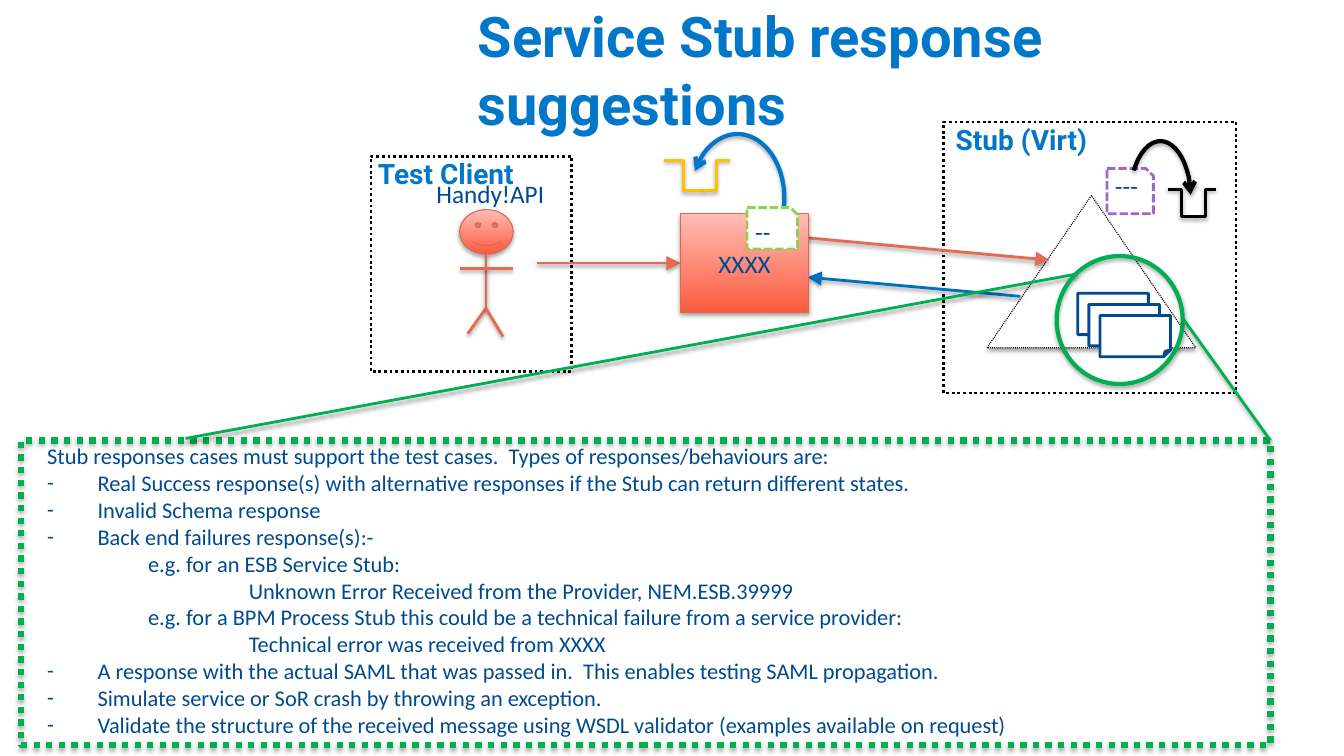
from lxml.etree import SubElement
from pptx import Presentation
from pptx.dml.color import RGBColor
from pptx.enum.dml import MSO_LINE
from pptx.enum.shapes import MSO_CONNECTOR, MSO_SHAPE
from pptx.enum.text import MSO_ANCHOR, PP_ALIGN
from pptx.oxml.ns import qn
from pptx.util import Inches, Pt

# Content: body lines are (left margin in inches, bulleted, text)
TITLE = "Service Stub response suggestions"
BODY = [
    (0, False, "Stub responses cases must support the test cases.  Types of responses/behaviours are:"),
    (0.5, True, "Real Success response(s) with alternative responses if the Stub can return different states."),
    (0.5, True, "Invalid Schema response"),
    (0.5, True, "Back end failures response(s):-"),
    (1, False, "e.g. for an ESB Service Stub:"),
    (2, False, "Unknown Error Received from the Provider, NEM.ESB.39999"),
    (1, False, "e.g. for a BPM Process Stub this could be a technical failure from a service provider:"),
    (2, False, "Technical error was received from XXXX"),
    (0.5, True, "A response with the actual SAML that was passed in.  This enables testing SAML propagation."),
    (0.5, True, "Simulate service or SoR crash by throwing an exception."),
    (0.5, True, "Validate the structure of the received message using WSDL validator (examples available on request)"),
]
COLORS = {
    "white": "FFFFFF", "black": "000000", "heading": "0077C8", "text": "004A8F",
    "coral": "E56A54", "coral edge": "E3654F", "deep coral": "FB5B3E",
    "pale coral": "FFBDB6", "blue": "0070C0", "green": "00B050",
    "lime": "92D050", "purple": "9B69CC", "amber": "FFC000",
}
ARROW_SIZES = {"triangle": "lg", "arrow": "med"}
DOTS, DASHES = MSO_LINE.ROUND_DOT, MSO_LINE.SQUARE_DOT


def color(name):
    return RGBColor.from_string(COLORS[name])


def add_shadow(item, opacity, distance):
    effects = SubElement(item._element.spPr, qn("a:effectLst"))
    outer = SubElement(effects, qn("a:outerShdw"), blurRad=str(Pt(3.1)),
                       dist=str(Pt(distance)), dir="5400000", rotWithShape="0")
    black = SubElement(outer, qn("a:srgbClr"), val=COLORS["black"])
    SubElement(black, qn("a:alpha"), val=str(opacity * 1000))


def style_line(item, line_color, width, dash=None, arrow=None):
    item.line.color.rgb = color(line_color)
    item.line.width = Pt(width)
    if dash:
        item.line.dash_style = dash
    if arrow:
        size = ARROW_SIZES[arrow]
        SubElement(item.line._get_or_add_ln(), qn("a:tailEnd"), type=arrow, w=size, len=size)


def add_box(parts, kind, box, line_color, width, fill="white", dash=None, arrow=None, shadow=False):
    shape = parts.add_shape(kind, *[Inches(length) for length in box])
    if fill == "gradient":
        shape.fill.gradient()
        shape.fill.gradient_angle = 90
        for stop, name in zip(shape.fill.gradient_stops, ("deep coral", "pale coral")):
            stop.color.rgb = color(name)
    elif fill:
        shape.fill.solid()
        shape.fill.fore_color.rgb = color(fill)
    else:
        shape.fill.background()
    style_line(shape, line_color, width, dash, arrow)
    if shadow:
        add_shadow(shape, 35, 1.8)
    else:
        shape.shadow.inherit = False
    return shape


def add_line(parts, start, end, line_color, arrow=None, kind=MSO_CONNECTOR.STRAIGHT):
    connector = parts.add_connector(kind, *[Inches(length) for length in start + end])
    style_line(connector, line_color, 2, arrow=arrow)
    add_shadow(connector, 38, 1.6)
    return connector


def add_arc(parts, box, angles, line_color, mirrored=False):
    shape = add_box(parts, MSO_SHAPE.ARC, box, line_color, 3, fill=None, arrow="arrow", shadow=True)
    for index, angle in enumerate(angles):
        shape.adjustments[index] = angle
    if mirrored:
        shape._element.spPr.xfrm.set("flipH", "1")


def add_slot(parts, left, middle, right, top, bottom, line_color):
    for side in (left, right):
        add_line(parts, (side, top), (middle, bottom), line_color, kind=MSO_CONNECTOR.ELBOW)


def add_run(paragraph, text, size, heading=False):
    run = paragraph.add_run()
    run.text = text
    run.font.size = Pt(size)
    run.font.name = "Roboto" if heading else "Calibri"
    run.font.bold = heading
    run.font.color.rgb = color("heading" if heading else "text")


def add_text(parts, box, text, size, heading=False):
    frame = parts.add_textbox(*[Inches(length) for length in box]).text_frame
    frame.word_wrap = True
    add_run(frame.paragraphs[0], text, size, heading)


presentation = Presentation()
presentation.slide_width, presentation.slide_height = Inches(13.33), Inches(7.5)
slide = presentation.slides.add_slide(presentation.slide_layouts[6])
canvas = slide.shapes

add_text(canvas, (4.64, -0.03, 8.76, 0.77), TITLE, 40, heading=True)

# Virtual stub
stub = canvas.add_group_shape().shapes
add_box(stub, MSO_SHAPE.RECTANGLE, (9.36, 1.21, 2.9, 2.69), "black", 2, dash=DOTS)
add_box(stub, MSO_SHAPE.ISOSCELES_TRIANGLE, (9.79, 1.94, 2.07, 1.51), "black", 0.75, dash=DOTS, shadow=True)
add_text(stub, (9.38, 1.17, 1.58, 0.44), "Stub (Virt)", 20, heading=True)
add_slot(stub, 11.58, 11.86, 12.06, 1.88, 2.15, "black")
add_box(stub, MSO_SHAPE.SNIP_1_RECTANGLE, (10.98, 1.67, 0.46, 0.45), "purple", 2, dash=DASHES)
add_text(stub, (10.96, 1.64, 0.43, 0.4), "---", 18)
add_arc(stub, (11.21, 1.4, 0.6, 1.12), (135.26, 212.95), "black")

# Request and reply
add_line(canvas, (8.01, 2.36), (10.41, 2.58), "coral", "triangle")
add_line(canvas, (10.12, 2.94), (8.01, 2.75), "blue", "triangle")

# Test client with its stick figure
client = canvas.add_group_shape().shapes
add_box(client, MSO_SHAPE.RECTANGLE, (3.68, 1.55, 1.99, 2.14), "black", 2, dash=DOTS)
add_box(client, MSO_SHAPE.SMILEY_FACE, (4.56, 2.08, 0.53, 0.44), "coral edge", 0.75, "gradient", shadow=True)
add_text(client, (4.23, 1.72, 1.44, 0.4), "Handy!API", 18)
neck, hip = (4.82, 2.52), (4.82, 3.06)
for start, end in [(neck, hip), ((4.56, 2.66), (5.09, 2.66)), (hip, (4.64, 3.31)), (hip, (4.99, 3.34))]:
    add_line(client, start, end, "coral")
add_text(client, (3.65, 1.5, 1.58, 0.44), "Test Client", 20, heading=True)

# Service under test
call = add_line(canvas, (5.33, 2.61), (6.75, 2.61), "coral", "triangle")
service = canvas.add_group_shape().shapes
service_box = add_box(service, MSO_SHAPE.RECTANGLE, (6.75, 2.12, 1.27, 0.98), "coral edge", 0.75,
                      "gradient", shadow=True)
service_box.text_frame.vertical_anchor = MSO_ANCHOR.MIDDLE
service_label = service_box.text_frame.paragraphs[0]
service_label.alignment = PP_ALIGN.CENTER
add_run(service_label, "XXXX", 18)
add_arc(service, (6.85, 1.33, 0.93, 1.27), (92.77, 196.42), "heading", mirrored=True)
add_slot(service, 6.59, 6.97, 7.24, 1.59, 1.89, "amber")
add_box(service, MSO_SHAPE.SNIP_1_RECTANGLE, (7.41, 2.06, 0.5, 0.41), "lime", 2, dash=DASHES)
add_text(service, (7.39, 2.1, 0.45, 0.4), "--", 18)
call.end_connect(service_box, 1)

# Response documents and the enlarged panel
add_box(canvas, MSO_SHAPE.RECTANGLE, (0.21, 4.37, 12.39, 3.02), "green", 4.5, None, DOTS, shadow=True)
add_line(canvas, (10.67, 2.72), (1.84, 4.35), "green")
documents = canvas.add_group_shape().shapes
for step in range(3):
    add_box(documents, MSO_SHAPE.FOLDED_CORNER,
            (10.69 + 0.11 * step, 2.91 + 0.11 * step, 0.7, 0.41), "text", 2)
add_box(canvas, MSO_SHAPE.OVAL, (10.48, 2.54, 1.25, 1.27), "green", 3, fill=None, shadow=True)
add_line(canvas, (11.74, 3.17), (12.6, 4.37), "green")

# Response types
body = canvas.add_textbox(Inches(0.37), Inches(4.34), Inches(12.04), Inches(3.06)).text_frame
body.word_wrap = True
for index, (margin, bulleted, text) in enumerate(BODY):
    paragraph = body.add_paragraph() if index else body.paragraphs[0]
    properties = paragraph._p.get_or_add_pPr()
    properties.set("marL", str(Inches(margin)))
    properties.set("indent", str(Inches(-margin if bulleted else 0)))
    if bulleted:
        SubElement(properties, qn("a:buFont"), typeface="Calibri")
        SubElement(properties, qn("a:buChar"), char="-")
    add_run(paragraph, text, 16)

presentation.save("out.pptx")
